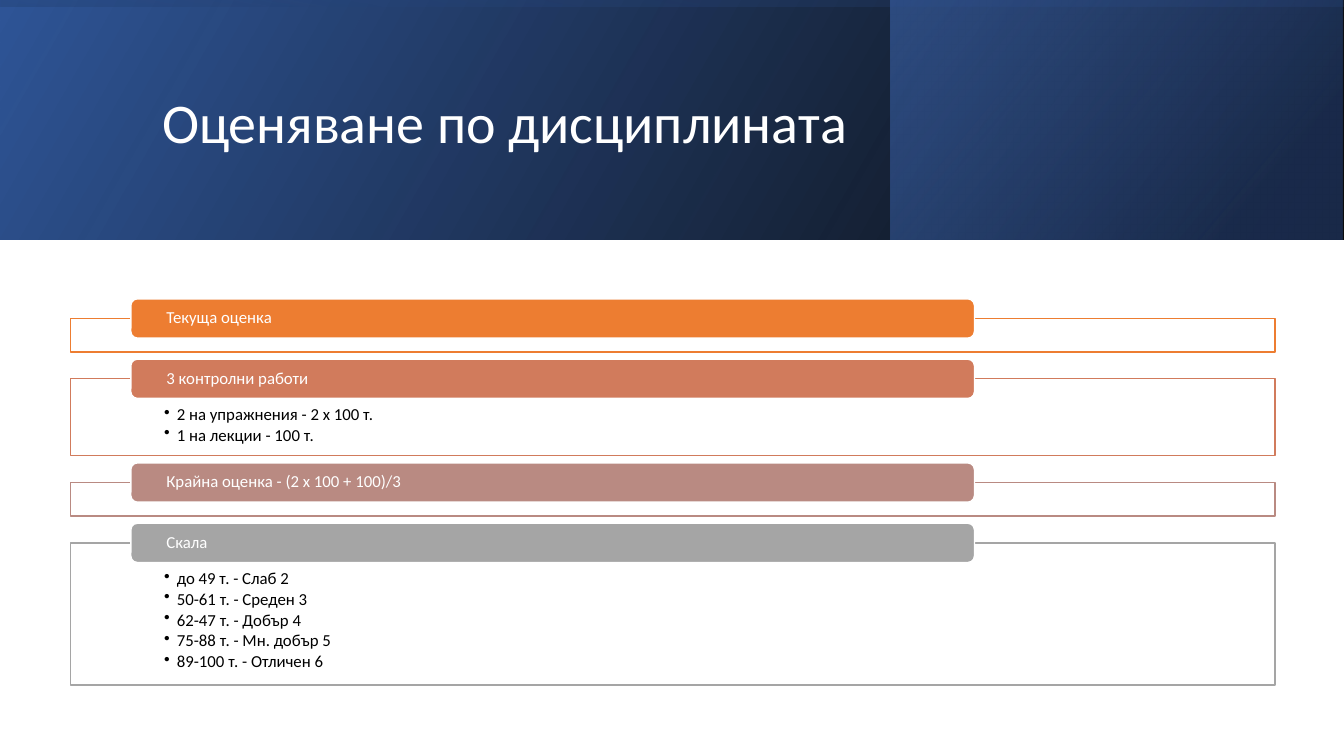
from lxml.etree import SubElement
from pptx import Presentation
from pptx.dml.color import RGBColor
from pptx.enum.shapes import MSO_SHAPE
from pptx.enum.text import MSO_ANCHOR, PP_ALIGN
from pptx.oxml import parse_xml
from pptx.oxml.ns import nsdecls, qn
from pptx.util import Pt

WHITE = RGBColor(0xFF, 0xFF, 0xFF)
BLACK = RGBColor(0x00, 0x00, 0x00)
NAVY = RGBColor(0x20, 0x38, 0x64)
BLUE = RGBColor(0x2F, 0x55, 0x97)
LIGHT_BLUE = RGBColor(0x44, 0x72, 0xC4)
ORANGE = RGBColor(0xED, 0x7D, 0x31)
TERRACOTTA = RGBColor(0xD1, 0x7B, 0x5C)
ROSE = RGBColor(0xB9, 0x8A, 0x82)
GREY = RGBColor(0xA5, 0xA5, 0xA5)

deck = Presentation()
deck.slide_width, deck.slide_height = Pt(960), Pt(540)
page = deck.slides.add_slide(deck.slide_layouts[6])


def add_box(preset, left, top, width, height, fill, line):
    box = page.shapes.add_shape(preset, Pt(left), Pt(top), Pt(width), Pt(height))
    box.shadow.inherit = False
    box.fill.solid()
    box.fill.fore_color.rgb = fill
    box.line.color.rgb = line
    box.line.width = Pt(1)
    return box


def write(para, text, size, color):
    para.alignment = PP_ALIGN.LEFT
    para.line_spacing = 0.9
    span = para.add_run()
    span.text = text
    span.font.name = "Calibri"
    span.font.size = Pt(size)
    span.font.color.rgb = color


# Banner: three mirrored gradient layers; stops are position, colour, opacity in %
BANNER_HEIGHT = 171
layers = [
    (0, 0, 960, BANNER_HEIGHT, 0, 330, [(0, BLACK, 96), (100, BLUE, 100)]),
    (636, 0, 323, BANNER_HEIGHT, 0, 320, [(19, NAVY, 68), (100, LIGHT_BLUE, 48)]),
    (394.5, -394.5, BANNER_HEIGHT, 960, 270, 350, [(23, BLUE, 16), (99, BLACK, 45)]),
]
for left, top, width, height, rotation, angle, stops in layers:
    layer = add_box(MSO_SHAPE.RECTANGLE, left, top, width, height, BLUE, BLUE)
    layer.line.fill.background()
    layer.rotation = rotation
    properties = layer._element.spPr
    properties.find(qn("a:xfrm")).set("flipH", "1")
    stop_xml = "".join(
        f'<a:gs pos="{position * 1000}"><a:srgbClr val="{color}">'
        f'<a:alpha val="{opacity * 1000}"/></a:srgbClr></a:gs>'
        for position, color, opacity in stops
    )
    gradient = parse_xml(
        f'<a:gradFill {nsdecls("a")}><a:gsLst>{stop_xml}</a:gsLst>'
        f'<a:lin ang="{angle * 60000}" scaled="0"/></a:gradFill>'
    )
    properties.replace(properties.find(qn("a:solidFill")), gradient)

# Title
title = page.shapes.add_textbox(Pt(108.7), Pt(27.4), Pt(765.4), Pt(123.8))
title.text_frame.word_wrap = True
title.text_frame.vertical_anchor = MSO_ANCHOR.MIDDLE
write(title.text_frame.paragraphs[0], "Оценяване по дисциплината", 40, WHITE)

# Grading sections: heading, colour, frame height, bullets
sections = [
    ("Текуща оценка", ORANGE, 24, []),
    ("3 контролни работи", TERRACOTTA, 55,
     ["2 на упражнения - 2 х 100 т.", "1 на лекции - 100 т."]),
    ("Крайна оценка - (2 х 100 + 100)/3", ROSE, 24, []),
    ("Скала", GREY, 101.5,
     ["до 49 т. - Слаб 2", "50-61 т. - Среден 3", "62-47 т. - Добър 4",
      "75-88 т. - Мн. добър 5", "89-100 т. - Отличен 6"]),
]
FRAME_GAP = 19.1
frame_top = 227.5
for heading, color, frame_height, bullets in sections:
    # Outlined frame with its bullets
    frame = add_box(MSO_SHAPE.RECTANGLE, 50.3, frame_top, 860.5, frame_height, WHITE, color)
    body = frame.text_frame
    body.vertical_anchor = MSO_ANCHOR.TOP
    body.margin_left = body.margin_right = Pt(67)
    body.margin_top, body.margin_bottom = Pt(19.5), Pt(6.5)
    for index, bullet in enumerate(bullets):
        para = body.add_paragraph() if index else body.paragraphs[0]
        para.level = 1
        para.space_after = Pt(1.8)
        write(para, bullet, 12, BLACK)
        layout = para._p.get_or_add_pPr()
        layout.set("marL", str(Pt(9)))
        layout.set("indent", str(-Pt(9)))
        SubElement(layout, qn("a:buChar")).set("char", "•")

    # Heading tab over the frame's top edge
    tab = add_box(MSO_SHAPE.ROUNDED_RECTANGLE, 93.5, frame_top - 14, 602.6, 28, color, WHITE)
    label = tab.text_frame
    label.vertical_anchor = MSO_ANCHOR.MIDDLE
    label.margin_left = label.margin_right = Pt(24)
    label.margin_top = label.margin_bottom = 0
    write(label.paragraphs[0], heading, 12, WHITE)

    frame_top += frame_height + FRAME_GAP

deck.save("out.pptx")
